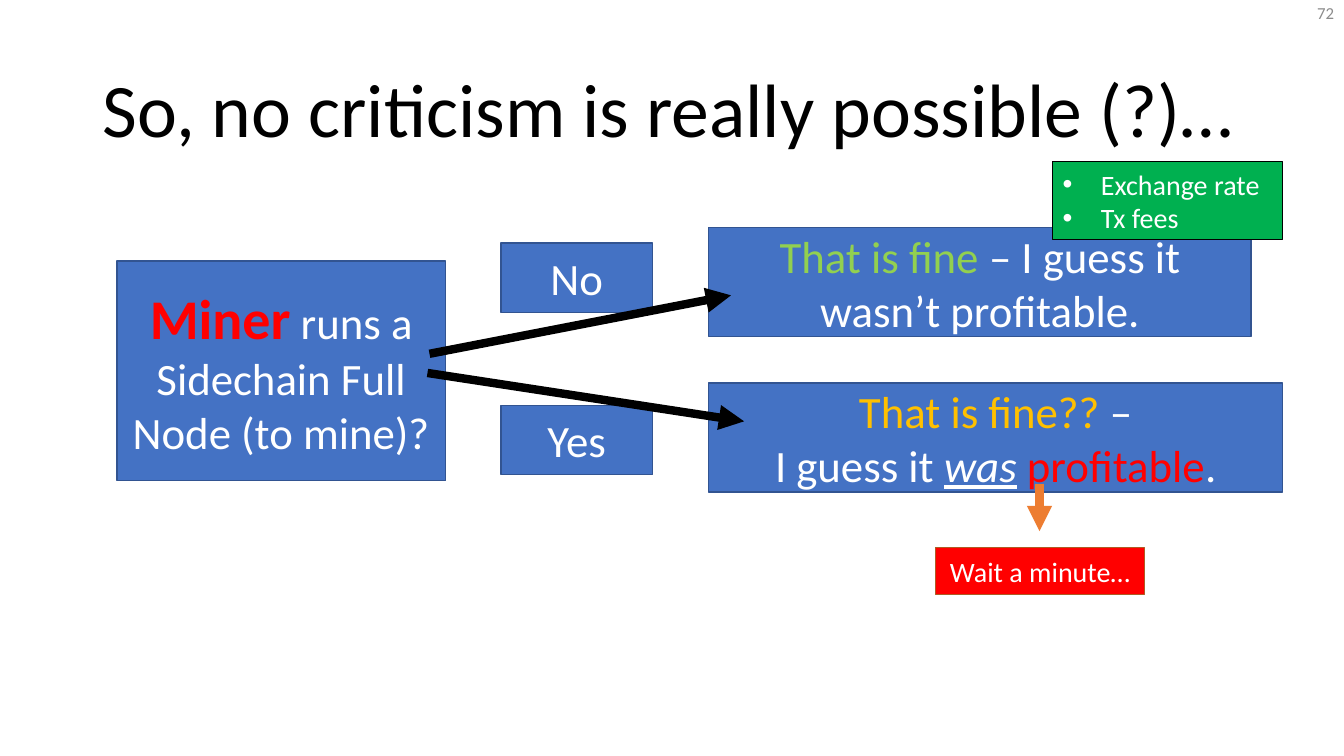
from lxml import etree
from pptx import Presentation
from pptx.dml.color import RGBColor
from pptx.enum.shapes import MSO_CONNECTOR, MSO_SHAPE
from pptx.enum.text import MSO_ANCHOR, MSO_AUTO_SIZE, PP_ALIGN
from pptx.oxml.ns import qn
from pptx.util import Inches, Pt

RECT = MSO_SHAPE.RECTANGLE
STRAIGHT = MSO_CONNECTOR.STRAIGHT
LEFT, CENTER, RIGHT = PP_ALIGN.LEFT, PP_ALIGN.CENTER, PP_ALIGN.RIGHT
MIDDLE = MSO_ANCHOR.MIDDLE
FIXED = MSO_AUTO_SIZE.NONE

THEME = {
    "font": "Calibri",
    "black": "000000", "white": "FFFFFF", "gray": "8C8C8C",
    "blue": "4472C4", "navy": "325491", "red": "FF0000", "brown": "AF5C24",
    "green": "00B050", "lime": "92D050", "gold": "FFC000", "orange": "ED7D31",
    "title": 54, "big": 40, "body": 32, "note": 20, "page": 12,
}


def tint(name):
    return RGBColor.from_string(THEME[name])


def write(shape, *lines, size="body", color="white", align=CENTER, bullet=False, space=None):
    frame = shape.text_frame
    frame.word_wrap = True
    frame.auto_size = FIXED
    frame.vertical_anchor = MIDDLE
    for i, line in enumerate(lines):
        para = frame.add_paragraph() if i else frame.paragraphs[0]
        para.alignment = align
        para.line_spacing = space
        if bullet:
            props = para._p.get_or_add_pPr()
            props.set("marL", str(Inches(0.38)))
            props.set("indent", str(-Inches(0.38)))
            etree.SubElement(props, qn("a:buFont")).set("typeface", "Arial")
            etree.SubElement(props, qn("a:buChar")).set("char", "•")
        for text, look in [(line, {})] if isinstance(line, str) else line:
            if text == "\n":
                para.add_line_break()
                continue
            run = para.add_run()
            run.text = text
            font = run.font
            font.name = THEME["font"]
            font.size = Pt(THEME[look.get("size", size)])
            font.color.rgb = tint(look.get("color", color))
            font.bold = look.get("bold", False)
            font.italic = font.underline = look.get("stress", False)
            if "edge" in look:
                edge = etree.Element(qn("a:ln"), w=str(Pt(0.75)))
                fill = etree.SubElement(edge, qn("a:solidFill"))
                etree.SubElement(fill, qn("a:srgbClr"), val=THEME[look["edge"]])
                run._r.get_or_add_rPr().insert(0, edge)


deck = Presentation()
deck.slide_width, deck.slide_height = Inches(13.33), Inches(7.5)
slide = deck.slides.add_slide(deck.slide_layouts[5])
shapes = slide.shapes

title = shapes.title
title.left, title.top = Inches(0.92), Inches(0.4)
title.width, title.height = Inches(11.5), Inches(1.45)
write(title, "So, no criticism is really possible (?)…",
      size="title", color="black", align=LEFT, space=0.9)

miner = [("Miner", {"size": "big", "color": "red", "bold": True, "edge": "black"}),
         (" runs a Sidechain Full Node (to mine)?", {})]
fine = [("That is fine ", {"color": "lime"}), ("– I guess it wasn’t profitable.", {})]
doubt = [("That is fine?? ", {"color": "gold"}), ("–", {}), ("\n", {}),
         ("I guess it ", {}), ("was", {"stress": True}), (" ", {}),
         ("profitable", {"color": "red"}), (".", {})]
rates = ["Exchange rate", "Tx fees"]

flow = ("blue", "navy", 1)
alert = ("red", "brown", 1)
aside = ("green", "black", 0.5)
note = {"size": "note"}
list_look = {"size": "note", "align": LEFT, "bullet": True}
boxes = [
    ((1.16, 2.59, 3.26, 2.18), flow, [miner], {}),
    ((4.97, 2.41, 1.5, 0.69), flow, ["No"], {}),
    ((7.03, 2.26, 5.38, 1.08), flow, [fine], {}),
    ((4.97, 4.02, 1.5, 0.69), flow, ["Yes"], {}),
    ((7.03, 3.8, 5.69, 1.08), flow, [doubt], {}),
    ((4.26, 3.51, 7.25, 2.93), "black", None, None),
    ((4.24, 3.7, 7.38, 4.18), "black", None, None),
    ((9.28, 5.43, 2.07, 0.47), alert, ["Wait a minute…"], note),
    ((10.31, 4.8, 10.31, 5.27), "orange", None, None),
    ((10.44, 1.6, 2.28, 0.78), aside, rates, list_look),
]
for place, style, lines, look in boxes:
    spot = [Inches(n) for n in place]
    if lines is None:
        arrow = shapes.add_connector(STRAIGHT, *spot)
        arrow.line.color.rgb = tint(style)
        arrow.line.width = Pt(6)
        etree.SubElement(arrow.line._get_or_add_ln(), qn("a:tailEnd"), type="triangle")
        etree.SubElement(arrow._element.spPr, qn("a:effectLst"))
        continue
    fill, edge, width = style
    box = shapes.add_shape(RECT, *spot)
    box.shadow.inherit = False
    box.fill.solid()
    box.fill.fore_color.rgb = tint(fill)
    box.line.color.rgb = tint(edge)
    box.line.width = Pt(width)
    write(box, *lines, **look)

page = shapes.add_textbox(Inches(10.33), Inches(-0.07), Inches(3), Inches(0.4))
write(page, "72", size="page", color="gray", align=RIGHT)

deck.save("out.pptx")
